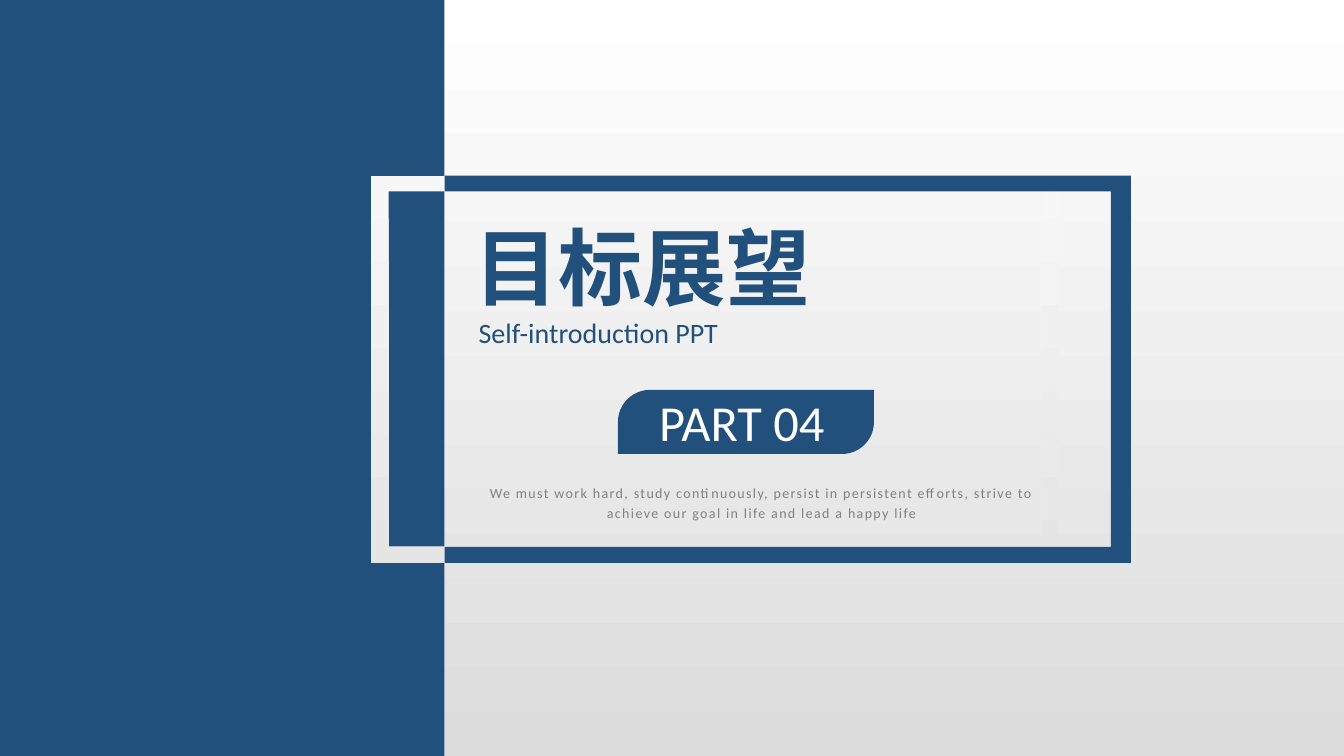
from pptx import Presentation
from pptx.dml.color import RGBColor
from pptx.enum.shapes import MSO_SHAPE
from pptx.enum.text import MSO_AUTO_SIZE, PP_ALIGN
from pptx.util import Pt

NAVY, WHITE, GRAY = "21507D", "FFFFFF", "808080"
BACKGROUND = ("FFFFFF", "DCDCDC")
FRAME_SHADES = ("F7F7F7", "E5E5E5")  # the background's shades at the frame's top and bottom

SLIDE_WIDTH, SLIDE_HEIGHT = 960, 540
PANEL_EDGE = 317.5
OUTER_TOP, INNER_TOP, INNER_BOTTOM, OUTER_BOTTOM = 125.4, 136.8, 390.7, 402

LIGHT_FRAME = [
    [(277.6, INNER_TOP), (743.8, INNER_TOP), (743.8, INNER_BOTTOM), (277.6, INNER_BOTTOM)],
    [(265, OUTER_TOP), (756, OUTER_TOP), (756, OUTER_BOTTOM), (265, OUTER_BOTTOM)],
]
NAVY_BRACKET = [[
    (PANEL_EDGE, INNER_TOP), (793.5, INNER_TOP), (793.5, INNER_BOTTOM),
    (PANEL_EDGE, INNER_BOTTOM), (PANEL_EDGE, OUTER_BOTTOM), (807.8, OUTER_BOTTOM),
    (807.8, OUTER_TOP), (PANEL_EDGE, OUTER_TOP),
]]

# text, (left, top, width, height), format
TEXTS = [
    ("目标展望", (332, 150.5, 424, 80),
     dict(size=60, color=NAVY, bold=True, align=PP_ALIGN.JUSTIFY)),
    ("Self-introduction PPT", (334.8, 221.8, 418.4, 31.5),
     dict(size=20, color=NAVY, align=PP_ALIGN.JUSTIFY)),
    ("PART 04", (441.4, 275.8, 177, 50.4), dict(size=36, color=WHITE)),
    ("We must work hard, study continuously, persist in persistent efforts, "
     "strive to achieve our goal in life and lead a happy life",
     (332, 340, 424, 36), dict(size=10, color=GRAY, line_spacing=1.2, tracking=1)),
]


def rgb(color):
    return RGBColor.from_string(color)


def fill_gradient(fill, colors):
    """Fill from top to bottom with two colours."""
    fill.gradient()
    fill.gradient_angle = 270
    for stop, color in zip(fill.gradient_stops, colors):
        stop.color.rgb = rgb(color)


def paint(shape, fill):
    """Fill with one hex colour or a pair for a gradient, without line or shadow."""
    shape.shadow.inherit = False
    shape.line.fill.background()
    if isinstance(fill, str):
        shape.fill.solid()
        shape.fill.fore_color.rgb = rgb(fill)
    else:
        fill_gradient(shape.fill, fill)


def add_block(slide, kind, box, fill):
    shape = slide.shapes.add_shape(kind, *map(Pt, box))
    paint(shape, fill)
    return shape


def add_outline(slide, contours, fill):
    """Draw closed contours as one shape; an enclosed contour is a hole."""
    contours = [[(Pt(x), Pt(y)) for x, y in contour] for contour in contours]
    builder = slide.shapes.build_freeform(*contours[0][0])
    for number, (start, *others) in enumerate(contours):
        if number:
            builder.move_to(*start)
        builder.add_line_segments(others, close=True)
    paint(builder.convert_to_shape(), fill)


def add_text(slide, text, box, size, color, bold=False, align=PP_ALIGN.CENTER,
             line_spacing=None, tracking=0):
    frame = slide.shapes.add_textbox(*map(Pt, box)).text_frame
    frame.word_wrap = True
    frame.auto_size = MSO_AUTO_SIZE.SHAPE_TO_FIT_TEXT
    paragraph = frame.paragraphs[0]
    paragraph.alignment = align
    paragraph.line_spacing = line_spacing
    run = paragraph.add_run()
    run.text = text
    run.font.name = "Calibri"
    run.font.size = Pt(size)
    run.font.bold = bold
    run.font.color.rgb = rgb(color)
    if tracking:
        run._r.get_or_add_rPr().set("spc", str(tracking * 100))


def main():
    presentation = Presentation()
    presentation.slide_width = Pt(SLIDE_WIDTH)
    presentation.slide_height = Pt(SLIDE_HEIGHT)
    slide = presentation.slides.add_slide(presentation.slide_layouts[6])
    fill_gradient(slide.background.fill, BACKGROUND)

    add_block(slide, MSO_SHAPE.RECTANGLE, (0, 0, PANEL_EDGE, SLIDE_HEIGHT), NAVY)
    add_outline(slide, LIGHT_FRAME, FRAME_SHADES)
    add_outline(slide, NAVY_BRACKET, NAVY)
    badge = add_block(slide, MSO_SHAPE.ROUND_2_DIAG_RECTANGLE,
                      (441.4, 278.5, 182.9, 45.8), NAVY)
    badge.adjustments[0] = 0.5
    badge.adjustments[1] = 0

    for text, box, text_format in TEXTS:
        add_text(slide, text, box, **text_format)

    presentation.save("out.pptx")


if __name__ == "__main__":
    main()
